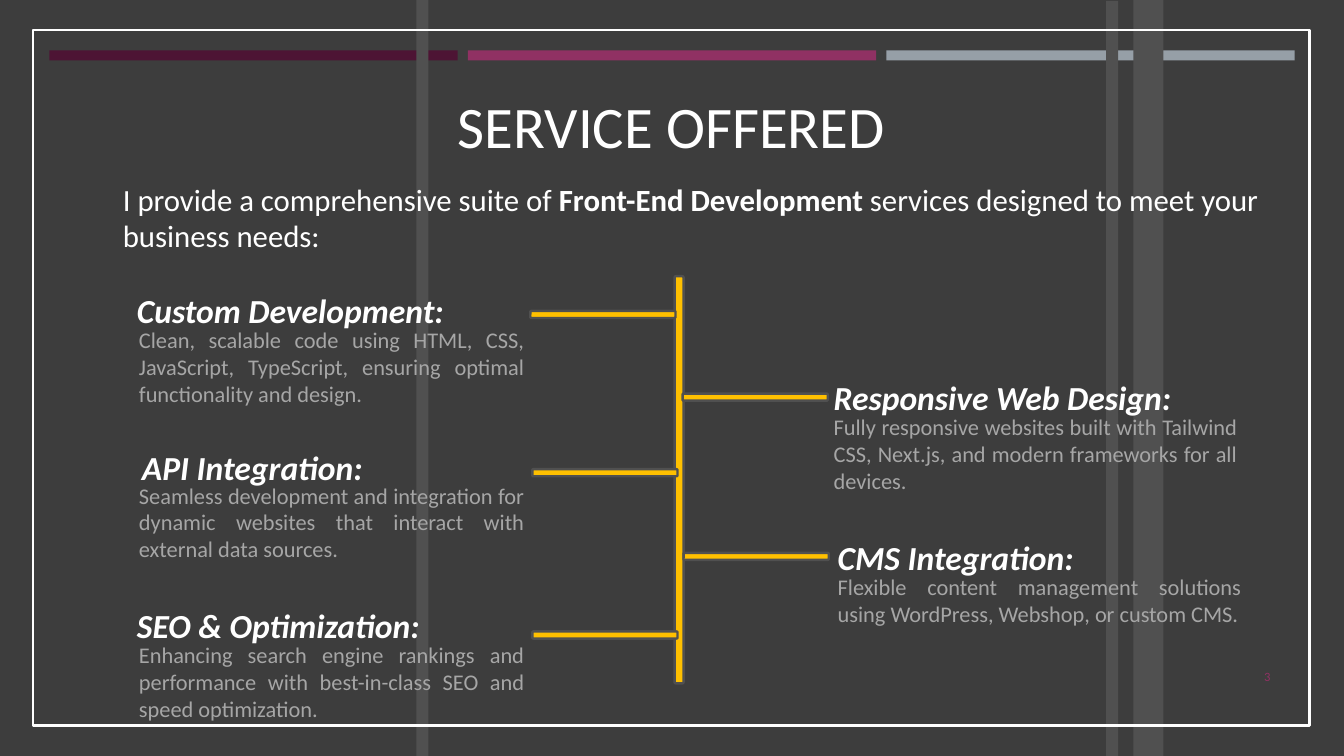
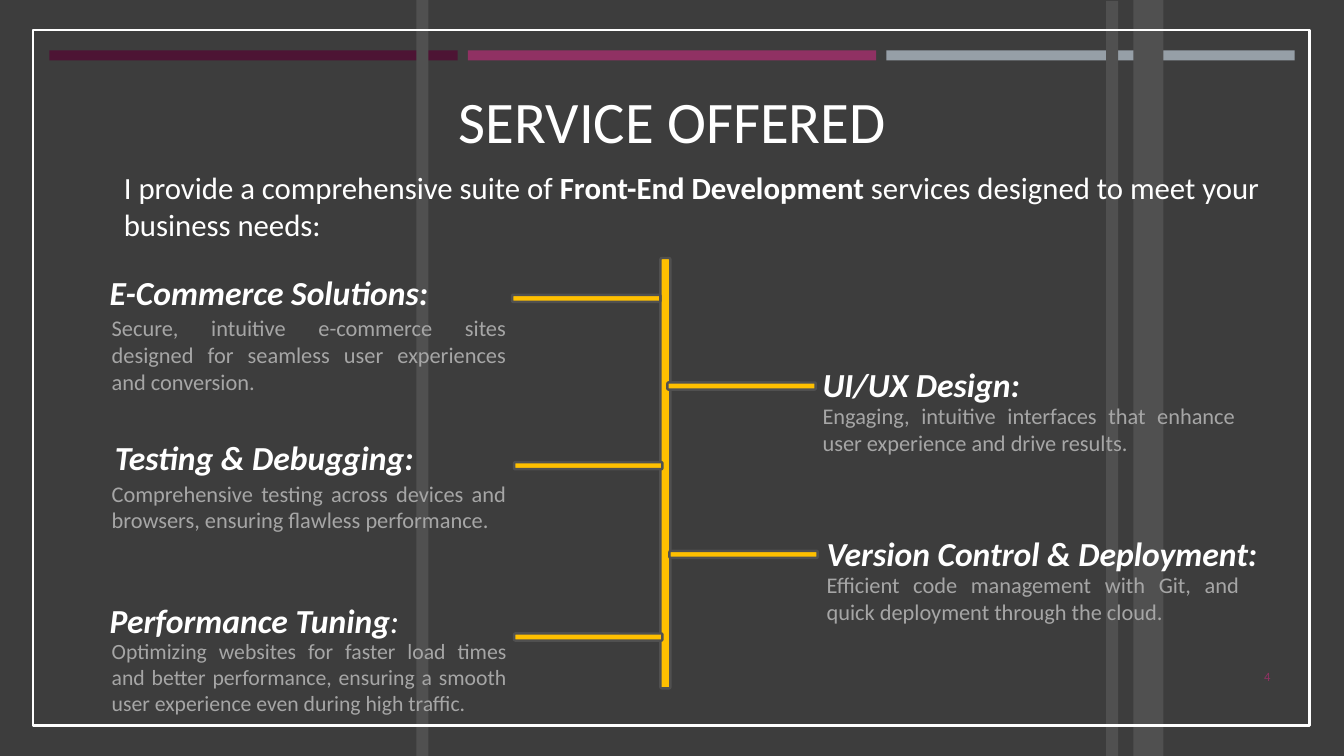
from dataclasses import dataclass

from pptx import Presentation
from pptx.dml.color import RGBColor
from pptx.enum.shapes import MSO_SHAPE
from pptx.enum.text import MSO_ANCHOR, PP_ALIGN
from pptx.util import Inches, Pt

RECT = MSO_SHAPE.RECTANGLE
ROUND = MSO_SHAPE.ROUNDED_RECTANGLE
TOP, MIDDLE, BOTTOM = MSO_ANCHOR.TOP, MSO_ANCHOR.MIDDLE, MSO_ANCHOR.BOTTOM
LEFT, CENTER, RIGHT, JUSTIFY = (
    PP_ALIGN.LEFT, PP_ALIGN.CENTER, PP_ALIGN.RIGHT, PP_ALIGN.JUSTIFY)

FONT = "Calibri"
COLORS = {
    "ground": "3D3D3D",
    "white": "FFFFFF",
    "plum": "4D1434",
    "berry": "903163",
    "steel": "969FA7",
    "stripe": "505050",
    "gold": "FFC000",
    "muted": "A6A6A6",
}
INTRO = [
    ("I provide a comprehensive suite of ", False),
    ("Front-End Development", True),
    (" services designed to meet your business needs:", False),
]


@dataclass
class Box:
    left: float
    top: float
    width: float
    height: float


@dataclass
class Style:
    size: float
    color: str
    align: int = LEFT
    anchor: int = TOP
    italic: bool = False


@dataclass
class Service:
    head: str
    text: str
    left: float
    top: float
    inset: float
    drop: float
    stub: float
    level: float
    tail: str = ""
    size: float = 16


@dataclass
class Page:
    number: int
    title: Box
    intro: Box
    spine: Box
    reach: float
    span: float
    services: list[Service]


STRIPES = [
    Box(10.97, 0.01, 0.12, 7.49),
    Box(4.13, 0, 0.12, 7.5),
    Box(11.24, 0, 0.3, 7.5),
]

PAGES = [
    Page(
        3, Box(0.41, 0.67, 12.5, 0.97), Box(1.12, 1.82, 11.68, 0.67),
        Box(6.69, 2.74, 0.09, 4.04), 1.44, 4.02,
        [
            Service("Custom Development:",
                    "Clean, scalable code using HTML, CSS, JavaScript, "
                    "TypeScript, ensuring optimal functionality and design.",
                    1.26, 2.83, 0.02, 0.36, 5.26, 3.12),
            Service("API Integration:",
                    "Seamless development and integration for dynamic "
                    "websites that interact with external data sources.",
                    1.31, 4.38, -0.03, 0.35, 5.28, 4.69),
            Service("SEO & Optimization:",
                    "Enhancing search engine rankings and performance with "
                    "best-in-class SEO and speed optimization.",
                    1.26, 5.95, 0.02, 0.36, 5.28, 6.3),
            Service("Responsive Web Design:",
                    "Fully responsive websites built with Tailwind CSS, "
                    "Next.js, and modern frameworks for all devices.",
                    8.17, 3.69, 0, 0.36, 6.77, 3.94),
            Service("CMS Integration:",
                    "Flexible content management solutions using WordPress, "
                    "Webshop, or custom CMS.",
                    8.21, 5.28, 0, 0.36, 6.78, 5.52),
        ],
    ),
    Page(
        4, Box(0.42, 0.71, 12.5, 0.88), Box(1.13, 1.71, 11.68, 0.67),
        Box(6.55, 2.56, 0.1, 4.27), 1.47, 4.11,
        [
            Service("E-Commerce Solutions:",
                    "Secure, intuitive e-commerce sites designed for "
                    "seamless user experiences and conversion.",
                    0.99, 2.65, 0.02, 0.42, 5.08, 2.96),
            Service("Testing & Debugging:",
                    "Comprehensive testing across devices and browsers, "
                    "ensuring flawless performance.",
                    1.04, 4.29, -0.03, 0.42, 5.1, 4.62),
            Service("Performance Tuning",
                    "Optimizing websites for faster load times and better "
                    "performance, ensuring a smooth user experience even "
                    "during high traffic.",
                    0.99, 5.9, 0.02, 0.38, 5.1, 6.32, ":", 15.5),
            Service("UI/UX Design:",
                    "Engaging, intuitive interfaces that enhance user "
                    "experience and drive results.",
                    8.06, 3.56, 0, 0.38, 6.62, 3.83),
            Service("Version Control & Deployment:",
                    "Efficient code management with Git, and quick "
                    "deployment through the cloud.",
                    8.1, 5.24, 0, 0.38, 6.64, 5.5),
        ],
    ),
]


def tint(name: str) -> RGBColor:
    return RGBColor.from_string(COLORS[name])


def place(box: Box) -> tuple:
    return (Inches(box.left), Inches(box.top),
            Inches(box.width), Inches(box.height))


def draw(slide, kind: int, box: Box, fill: str = "", line: str = "") -> None:
    shape = slide.shapes.add_shape(kind, *place(box))
    shape.shadow.inherit = False
    if fill:
        shape.fill.solid()
        shape.fill.fore_color.rgb = tint(fill)
    else:
        shape.fill.background()
    if line:
        shape.line.color.rgb = tint(line)
        shape.line.width = Pt(1.75)
    else:
        shape.line.fill.background()


def write(slide, box: Box, runs: list[tuple[str, bool]], style: Style) -> None:
    frame = slide.shapes.add_textbox(*place(box)).text_frame
    frame.word_wrap = True
    frame.vertical_anchor = style.anchor
    para = frame.paragraphs[0]
    para.alignment = style.align
    para.font.name = FONT
    para.font.size = Pt(style.size)
    para.font.italic = style.italic
    para.font.color.rgb = tint(style.color)
    for text, bold in runs:
        run = para.add_run()
        run.text = text
        run.font.bold = bold


def frame(slide, page: Page) -> None:
    slide.background.fill.solid()
    slide.background.fill.fore_color.rgb = tint("ground")
    for i, color in enumerate(("plum", "berry", "steel")):
        draw(slide, RECT, Box(0.49 + i * 4.15, 0.5, 4.05, 0.1), color)
    for stripe in STRIPES:
        draw(slide, RECT, stripe, "stripe")
    draw(slide, RECT, Box(0.33, 0.3, 12.66, 6.9), line="white")
    write(slide, page.title, [("SERVICE OFFERED", False)],
          Style(42, "white", CENTER, BOTTOM))
    write(slide, page.intro, INTRO, Style(22, "white", anchor=MIDDLE))
    write(slide, Box(11.7, 6.56, 1, 0.3), [(str(page.number), False)],
          Style(9, "berry", RIGHT, MIDDLE))


def tree(slide, page: Page) -> None:
    draw(slide, ROUND, page.spine, "gold", "stripe")
    for item in page.services:
        stub = Box(item.stub, item.level - 0.035, page.reach, 0.07)
        draw(slide, ROUND, stub, "gold", "stripe")


def label(slide, item: Service, span: float) -> None:
    runs = [(item.head, True)]
    if item.tail:
        runs.append((item.tail, False))
    width = 3.93 if item.left < page_mid else 5.13
    write(slide, Box(item.left, item.top, width, 0.6), runs,
          Style(24, "white", italic=True))
    wide = span if item.left < page_mid else span + 0.18
    text = Box(item.left + item.inset, item.top + item.drop, wide, 0.6)
    write(slide, text, [(item.text, False)],
          Style(item.size, "muted", JUSTIFY))


page_mid = 13.33 / 2


def main() -> None:
    deck = Presentation()
    deck.slide_width = Inches(13.33)
    deck.slide_height = Inches(7.5)
    for page in PAGES:
        slide = deck.slides.add_slide(deck.slide_layouts[6])
        frame(slide, page)
        tree(slide, page)
        for item in page.services:
            label(slide, item, page.span)
    deck.save("out.pptx")


if __name__ == "__main__":
    main()
